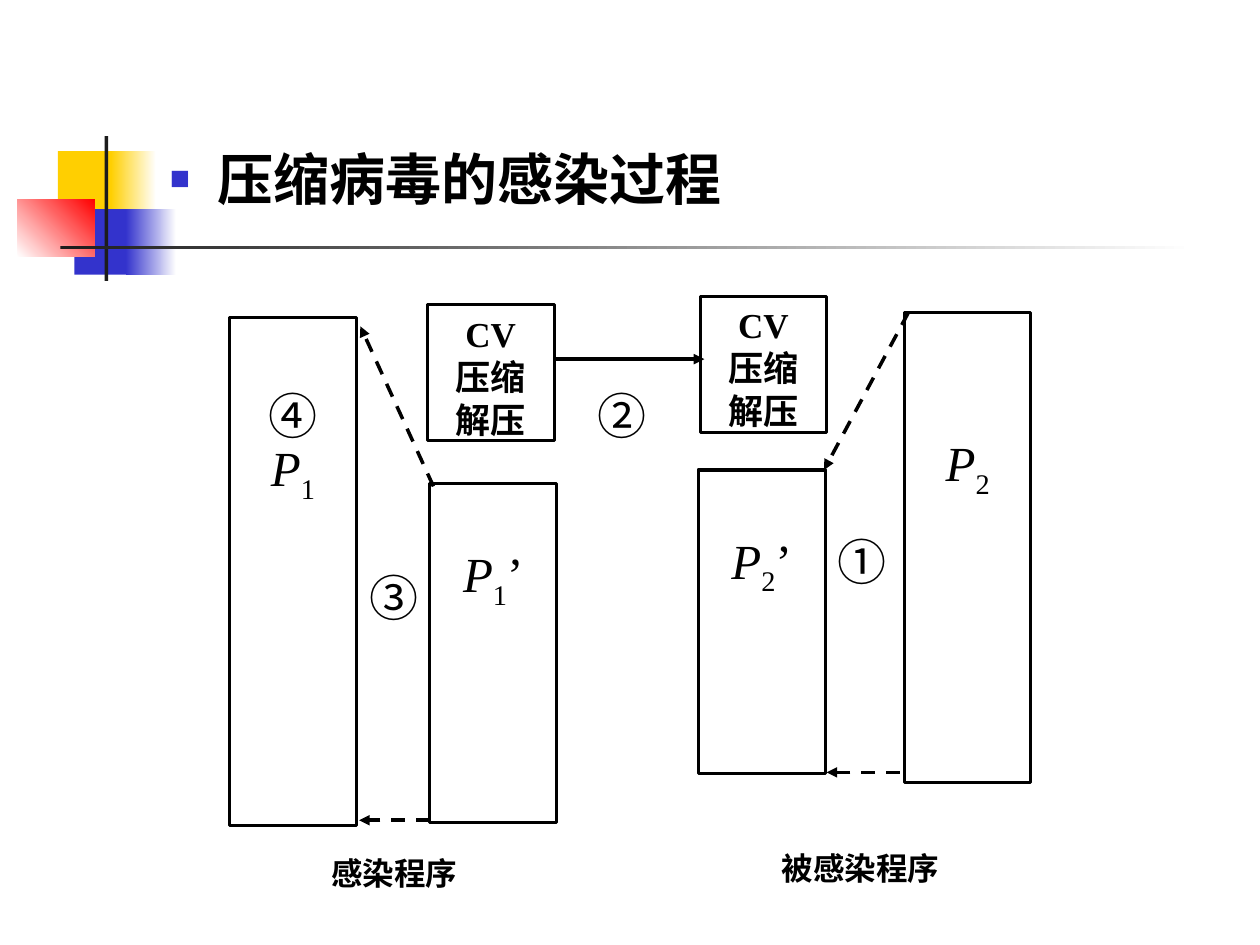
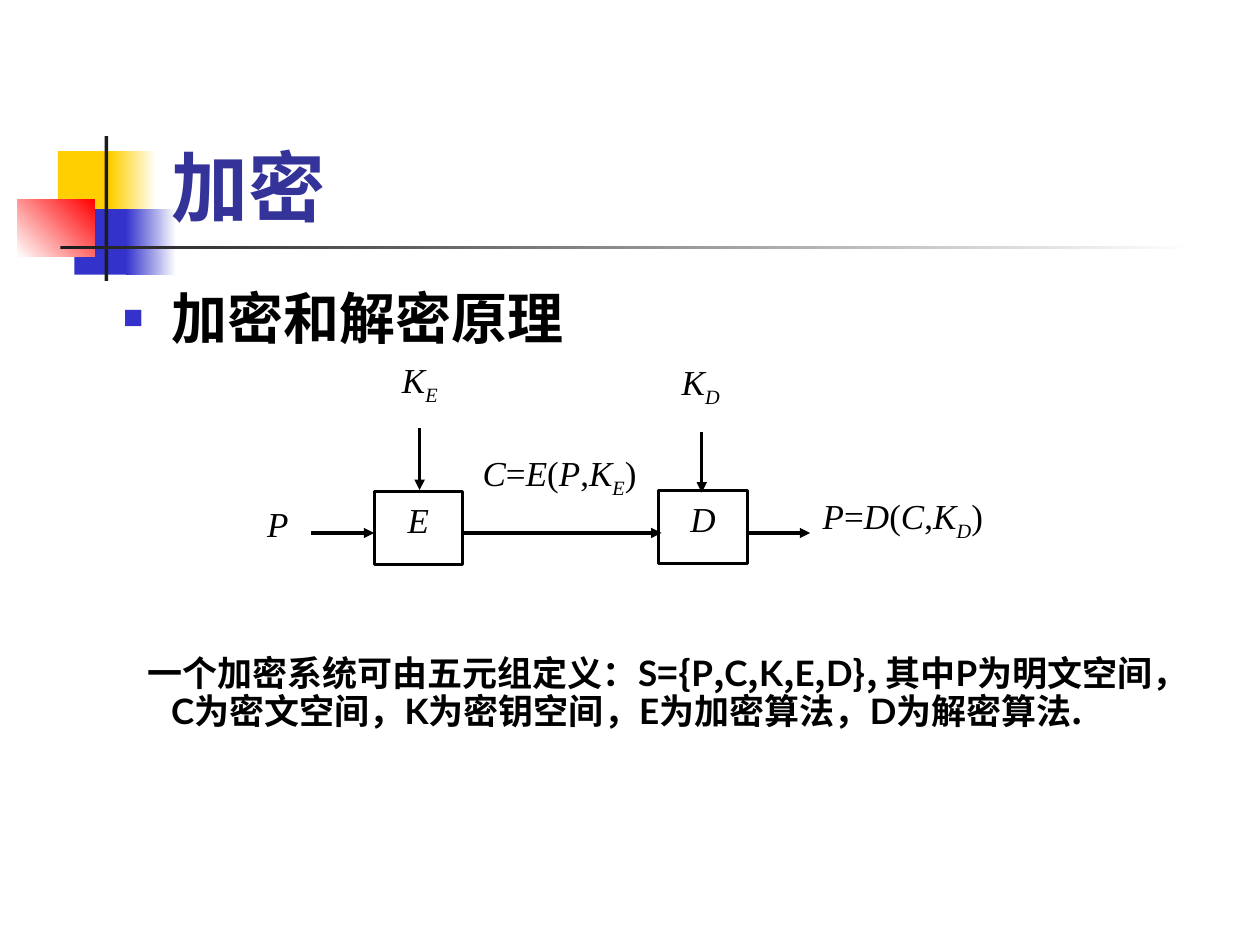
from itertools import groupby
from lxml.etree import SubElement as Sub
from pptx import Presentation
from pptx.dml.color import RGBColor as Rgb
from pptx.enum.dml import MSO_LINE as Dash
from pptx.enum.shapes import MSO_CONNECTOR as Conn, MSO_SHAPE as Geo
from pptx.enum.text import MSO_ANCHOR as Anchor, PP_ALIGN as Align
from pptx.oxml.ns import qn
from pptx.util import Inches, Pt

# Shared look
HUE = dict(gold="FFCF01", blue="3333CC", red="FF0000", dark="1C1C1C",
           white="FFFFFF", title="333399", ink="000000")
LATO, HAN, SERIF = "Lato", "Noto Sans CJK SC", "Times New Roman"
PITCH = 1.23  # line height over font size
BIG_LINE = 0.48  # height of one 28 pt line, inches

# Corner motif: place, start colour, end colour, angle
MOTIF = [
    ((0.46, 1.2, 0.48, 0.52), "gold", None, 0),
    ((0.88, 1.2, 0.36, 0.52), "gold", "white", 0),
    ((0.59, 1.66, 0.46, 0.52), "blue", None, 0),
    ((1, 1.66, 0.4, 0.52), "blue", "white", 0),
    ((0.14, 1.58, 0.61, 0.46), "white", "red", 45),
    ((0.83, 1.08, 0.03, 1.15), "dark", None, 0),
    ((0.48, 1.95, 9, 0.03), "dark", "white", 0),
]

# Slide 1: infection by a compressing virus
HEAD = "压缩病毒的感染过程"
# Program bars: place, lines left free at the top, text
BARS = [
    ((1.82, 2.52, 1.01, 4.03), 1, ["④", "P_1"]),
    ((3.41, 3.84, 1.01, 2.69), 1, ["P_1’"]),
    ((5.54, 3.73, 1.01, 2.41), 1, ["P_2’"]),
    ((7.18, 2.48, 1, 3.73), 2, ["P_2"]),
]
VIRUS = ["CV", "压缩", "解压"]
VIRUS_AT = [(3.39, 2.42, 1.01, 1.08), (5.56, 2.35, 1, 1.08)]
COPY = (4.39, 2.85, 5.59, 2.85)
SHRINK = [(7.14, 6.13, 6.56, 6.13), (7.21, 2.48, 6.54, 3.73),
          (3.44, 3.86, 2.86, 2.59), (3.41, 6.51, 2.85, 6.51)]
STEPS = [("①", 6.65, 4.21), ("②", 4.74, 3.05), ("③", 2.93, 4.49)]
NAMES = [("感染程序", 2.4, 6.72), ("被感染程序", 6.1, 6.68)]

# Slide 2: encryption
TITLE = "加密"
TOPIC = "加密和解密原理"
UNITS = [("E", 2.97, 3.9), ("D", 5.23, 3.89)]
LABELS = [
    ("C=E(P,K_E)", (3.81, 3.58, 1.45, 0.43)),
    ("P", (2.1, 3.94, 0.36, 0.54)),
    ("P=D(C,K_D)", (6.51, 3.92, 1.6, 0.57)),
    ("K_E", (3.17, 2.84, 0.43, 0.51)),
    ("K_D", (5.39, 2.86, 0.47, 0.54)),
]
FLOWS = [(3.67, 4.23, 5.25, 4.23), (2.47, 4.23, 2.97, 4.23),
         (5.93, 4.23, 6.43, 4.23), (3.33, 3.4, 3.33, 3.89),
         (5.57, 3.43, 5.57, 3.91)]
TUPLE = ("一个加密系统可由五元组定义：S={P,C,K,E,D}, 其中P为明文空间，"
         "C为密文空间，K为密钥空间，E为加密算法，D为解密算法.")


def rgb(name):
    return Rgb.from_string(HUE[name])


def style(run, size, font, bold=False, hue="ink"):
    run.font.size, run.font.name, run.font.bold = Pt(size), font, bold
    run.font.color.rgb = rgb(hue)
    props = run.font._element
    Sub(props, qn("a:ea")).set("typeface", HAN)


def put(par, text, size, font, bold=False, hue="ink"):
    run = par.add_run()
    run.text = text
    style(run, size, font, bold, hue)
    return run


def put_math(par, text, size):
    """Letters slant; the sign after an underscore is a subscript."""
    low = False
    for sign in text:
        if sign == "_":
            low = True
            continue
        run = put(par, sign, size, HAN if sign in "①②③④" else SERIF)
        run.font.italic = sign.isalpha()
        if low:
            run.font._element.set("baseline", "-25000")
        low = False


def setup(shape, pad, top):
    frame = shape.text_frame
    frame.word_wrap = True
    frame.vertical_anchor = Anchor.TOP
    frame.margin_left = frame.margin_right = Inches(pad)
    frame.margin_top, frame.margin_bottom = Inches(top), Inches(0)
    return frame


def lines(frame, texts, size, align=Align.LEFT, pitch=PITCH):
    """Yield one spaced paragraph per text."""
    for num, text in enumerate(texts):
        par = frame.add_paragraph() if num else frame.paragraphs[0]
        par.alignment = align
        par.line_spacing = Pt(round(size * pitch, 1))
        yield par, text


def box(slide, at, pad=0.1, top=0.05):
    area = slide.shapes.add_textbox(*map(Inches, at))
    return setup(area, pad, top)


def rect(slide, at):
    shape = slide.shapes.add_shape(Geo.RECTANGLE, *map(Inches, at))
    shape.shadow.inherit = False
    return shape


def frame_box(slide, at, top=0.05):
    shape = rect(slide, at)
    shape.fill.background()
    shape.line.color.rgb = rgb("ink")
    shape.line.width = Pt(1.75)
    return setup(shape, 0.06, top)


def arrow(slide, ends, width, dash=False):
    link = slide.shapes.add_connector(Conn.STRAIGHT, *map(Inches, ends))
    link.line.color.rgb = rgb("ink")
    link.line.width = Pt(width)
    if dash:
        link.line.dash_style = Dash.DASH
    Sub(link.line._get_or_add_ln(), qn("a:tailEnd")).set("type", "triangle")
    Sub(link._element.spPr, qn("a:effectLst"))


def heading(slide, text, at, font):
    """One bold line behind a square bullet."""
    par, text = next(lines(box(slide, at), [text], 32))
    props = par._p.get_or_add_pPr()
    props.set("marL", str(Inches(0.38)))
    props.set("indent", str(Inches(-0.38)))
    tint = Sub(props, qn("a:buClr"))
    Sub(tint, qn("a:srgbClr")).set("val", HUE["blue"])
    Sub(props, qn("a:buSzPct")).set("val", "60000")
    Sub(props, qn("a:buFont")).set("typeface", SERIF)
    Sub(props, qn("a:buChar")).set("char", "■")
    put(par, text, 32, font, True)


def new_slide(deck):
    slide = deck.slides.add_slide(deck.slide_layouts[6])
    for at, start, end, angle in MOTIF:
        shape = rect(slide, at)
        shape.line.fill.background()
        if end:
            shape.fill.gradient()
            shape.fill.gradient_angle = angle
            for stop, name in zip(shape.fill.gradient_stops, (start, end)):
                stop.color.rgb = rgb(name)
        else:
            shape.fill.solid()
            shape.fill.fore_color.rgb = rgb(start)
    return slide


def virus_slide(deck):
    slide = new_slide(deck)
    heading(slide, HEAD, (1.25, 1.08, 8.22, 0.82), LATO)
    # Programs and virus bodies
    for at, free, texts in BARS:
        frame = frame_box(slide, at, 0.05 + free * BIG_LINE)
        for par, text in lines(frame, texts, 28, Align.CENTER):
            put_math(par, text, 28)
    for at in VIRUS_AT:
        frame = frame_box(slide, at)
        for par, text in lines(frame, VIRUS, 20, Align.CENTER):
            put(par, text, 20, SERIF, True)
    # Arrows, steps and captions
    arrow(slide, COPY, 2)
    for ends in SHRINK:
        arrow(slide, ends, 2, True)
    for sign, left, top in STEPS:
        frame = box(slide, (left, top, 0.42, 0.75), 0, 0)
        for par, text in lines(frame, [sign], 28):
            put_math(par, text, 28)
    for name, left, top in NAMES:
        frame = box(slide, (left, top, 1.46, 0.4), 0)
        for par, text in lines(frame, [name], 18, Align.CENTER):
            put(par, text, 18, LATO, True)


def cipher_slide(deck):
    slide = new_slide(deck)
    for par, text in lines(box(slide, (1.26, 1.04, 8.52, 0.8)), [TITLE], 44):
        put(par, text, 44, HAN, True, "title")
    heading(slide, TOPIC, (0.88, 2.19, 8.5, 0.65), HAN)
    # Diagram
    for name, left, top in UNITS:
        frame = frame_box(slide, (left, top, 0.7, 0.58))
        for par, text in lines(frame, [name], 20, Align.CENTER):
            put_math(par, text, 20)
    for label, at in LABELS:
        for par, text in lines(box(slide, at, 0.02, 0.04), [label], 20):
            put_math(par, text, 20)
    for ends in FLOWS:
        arrow(slide, ends, 1.75)
    # Definition, Latin letters in their own font
    frame = box(slide, (0.88, 5.16, 8.37, 1))
    for par, text in lines(frame, [TUPLE], 20, pitch=1.07):
        props = par._p.get_or_add_pPr()
        props.set("marL", str(Inches(0.38)))
        props.set("indent", str(Inches(-0.19)))
        for latin, part in groupby(text, lambda c: c.isascii() and c.isalpha()):
            put(par, "".join(part), 20, LATO if latin else HAN, True)


def main():
    deck = Presentation()
    deck.slide_width, deck.slide_height = Inches(10), Inches(7.5)
    virus_slide(deck)
    cipher_slide(deck)
    deck.save("out.pptx")


if __name__ == "__main__":
    main()
